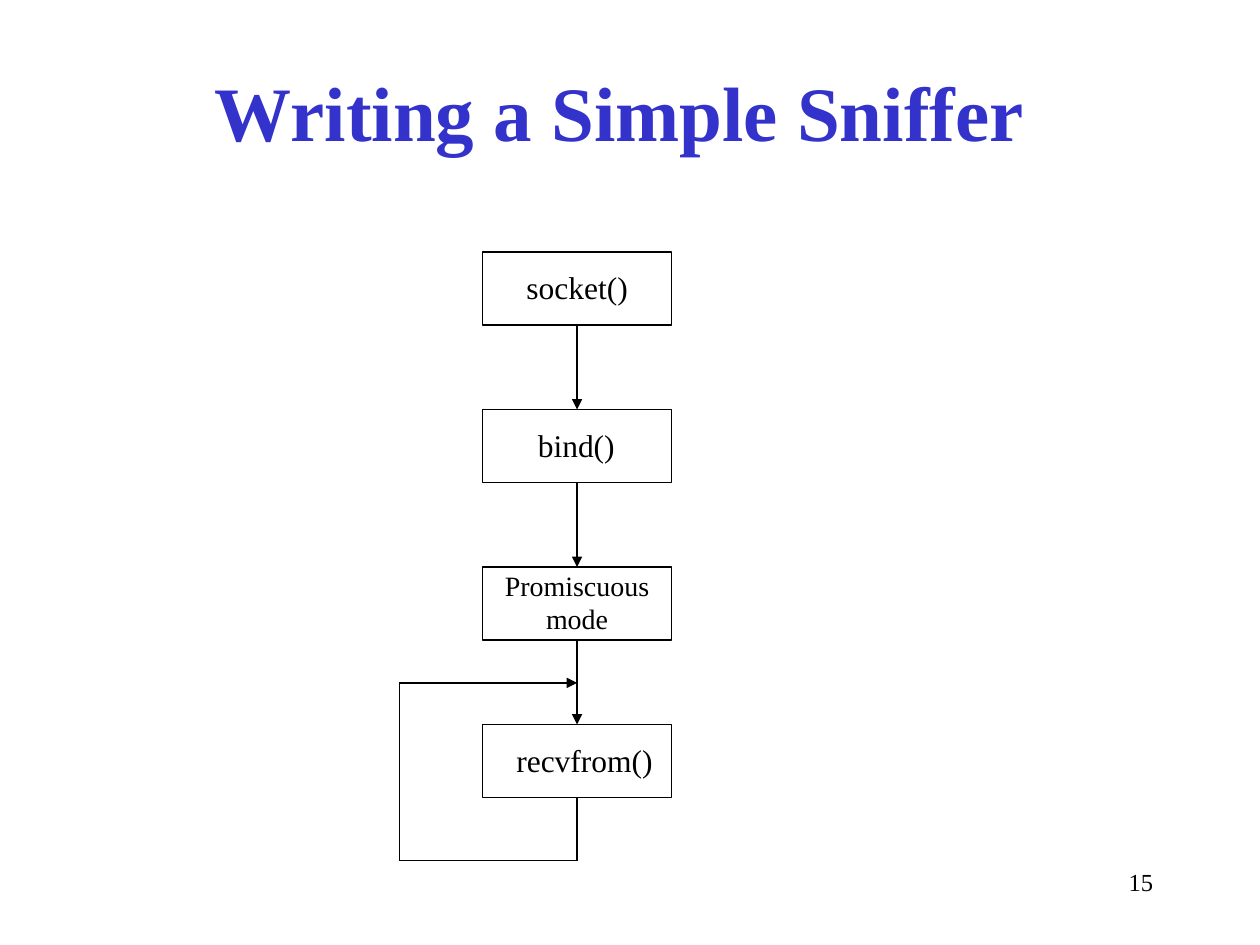
"""Build the slide showing the call sequence of a simple sniffer."""
from dataclasses import dataclass

from lxml import etree
from pptx import Presentation
from pptx.dml.color import RGBColor
from pptx.enum.shapes import MSO_CONNECTOR, MSO_SHAPE
from pptx.enum.text import MSO_ANCHOR, MSO_AUTO_SIZE, PP_ALIGN
from pptx.oxml.ns import qn
from pptx.util import Inches, Pt

RECT = MSO_SHAPE.RECTANGLE
STRAIGHT = MSO_CONNECTOR.STRAIGHT
LEFT, CENTER, RIGHT = PP_ALIGN.LEFT, PP_ALIGN.CENTER, PP_ALIGN.RIGHT
MIDDLE = MSO_ANCHOR.MIDDLE
GROW, FIXED = MSO_AUTO_SIZE.SHAPE_TO_FIT_TEXT, MSO_AUTO_SIZE.NONE

FONT = "Times New Roman"
COLORS = {"title": "3333CC", "ink": "000000"}
LINE_WIDTH = Pt(0.75)

BOX_LEFT, BOX_TOP, BOX_W, BOX_H, STEP = 3.83, 2, 1.5, 0.58, 1.25
MID_X = BOX_LEFT + BOX_W / 2
LOOP_X, LOOP_TOP, LOOP_BOTTOM = 3.17, 5.42, 6.83


@dataclass
class Label:
    text: str
    left: float
    top: float
    width: float
    height: float = 0.4
    size: int = 18
    align: PP_ALIGN = LEFT
    wrap: bool = False
    fit: MSO_AUTO_SIZE = GROW


@dataclass
class Line:
    x1: float
    y1: float
    x2: float
    y2: float
    arrow: bool = False


STEPS = [
    Label("socket()", 4.08, 2.08, 1.05),
    Label("bind()", 4.17, 3.33, 0.82),
    Label("Promiscuous\nmode", BOX_LEFT, 4.46, BOX_W, 0.64, 16, CENTER, True),
    Label("recvfrom()", 4, 5.83, 1.3),
]
PAGE_NUMBER = Label("15", 7.17, 6.83, 2.08, 0.5, 14, RIGHT, True, FIXED)


def format_text(tf, size: int, color: str, align: PP_ALIGN, bold: bool = False) -> None:
    for p in tf.paragraphs:
        p.alignment = align
        for r in p.runs:
            r.font.name = FONT
            r.font.size = Pt(size)
            r.font.bold = bold
            r.font.color.rgb = RGBColor.from_string(COLORS[color])


def add_title(slide, text: str) -> None:
    sp = slide.shapes.title
    sp.left, sp.top = Inches(0.67), Inches(0.25)
    sp.width, sp.height = Inches(8.5), Inches(1.25)
    tf = sp.text_frame
    tf.text = text
    tf.vertical_anchor = MIDDLE
    format_text(tf, 44, "title", CENTER, True)


def add_box(slide, top: float) -> None:
    sp = slide.shapes.add_shape(
        RECT, Inches(BOX_LEFT), Inches(top), Inches(BOX_W), Inches(BOX_H))
    sp.shadow.inherit = False
    sp.fill.background()
    sp.line.color.rgb = RGBColor.from_string(COLORS["ink"])
    sp.line.width = LINE_WIDTH


def add_line(slide, line: Line) -> None:
    sp = slide.shapes.add_connector(
        STRAIGHT, Inches(line.x1), Inches(line.y1), Inches(line.x2), Inches(line.y2))
    sp.line.color.rgb = RGBColor.from_string(COLORS["ink"])
    sp.line.width = LINE_WIDTH
    if line.arrow:
        etree.SubElement(sp.line._get_or_add_ln(), qn("a:tailEnd"), type="triangle")
    etree.SubElement(sp._element.spPr, qn("a:effectLst"))


def add_label(slide, label: Label) -> None:
    sp = slide.shapes.add_textbox(
        Inches(label.left), Inches(label.top), Inches(label.width), Inches(label.height))
    tf = sp.text_frame
    tf.text = label.text
    tf.word_wrap = label.wrap
    tf.auto_size = label.fit
    format_text(tf, label.size, "ink", label.align)


def main() -> None:
    prs = Presentation()
    prs.slide_width, prs.slide_height = Inches(10), Inches(7.5)
    slide = prs.slides.add_slide(prs.slide_layouts[5])
    add_title(slide, "Writing a Simple Sniffer")

    tops = [BOX_TOP + i * STEP for i in range(len(STEPS))]
    for top in tops:
        add_box(slide, top)

    lines = [Line(MID_X, top + BOX_H, MID_X, top + STEP, True) for top in tops[:-1]]
    lines += [
        Line(MID_X, tops[-1] + BOX_H, MID_X, LOOP_BOTTOM),
        Line(MID_X, LOOP_BOTTOM, LOOP_X, LOOP_BOTTOM),
        Line(LOOP_X, LOOP_TOP, MID_X, LOOP_TOP, True),
        Line(LOOP_X, LOOP_BOTTOM, LOOP_X, LOOP_TOP),
    ]
    for line in lines:
        add_line(slide, line)
    for label in [*STEPS, PAGE_NUMBER]:
        add_label(slide, label)

    prs.save("out.pptx")


main()
